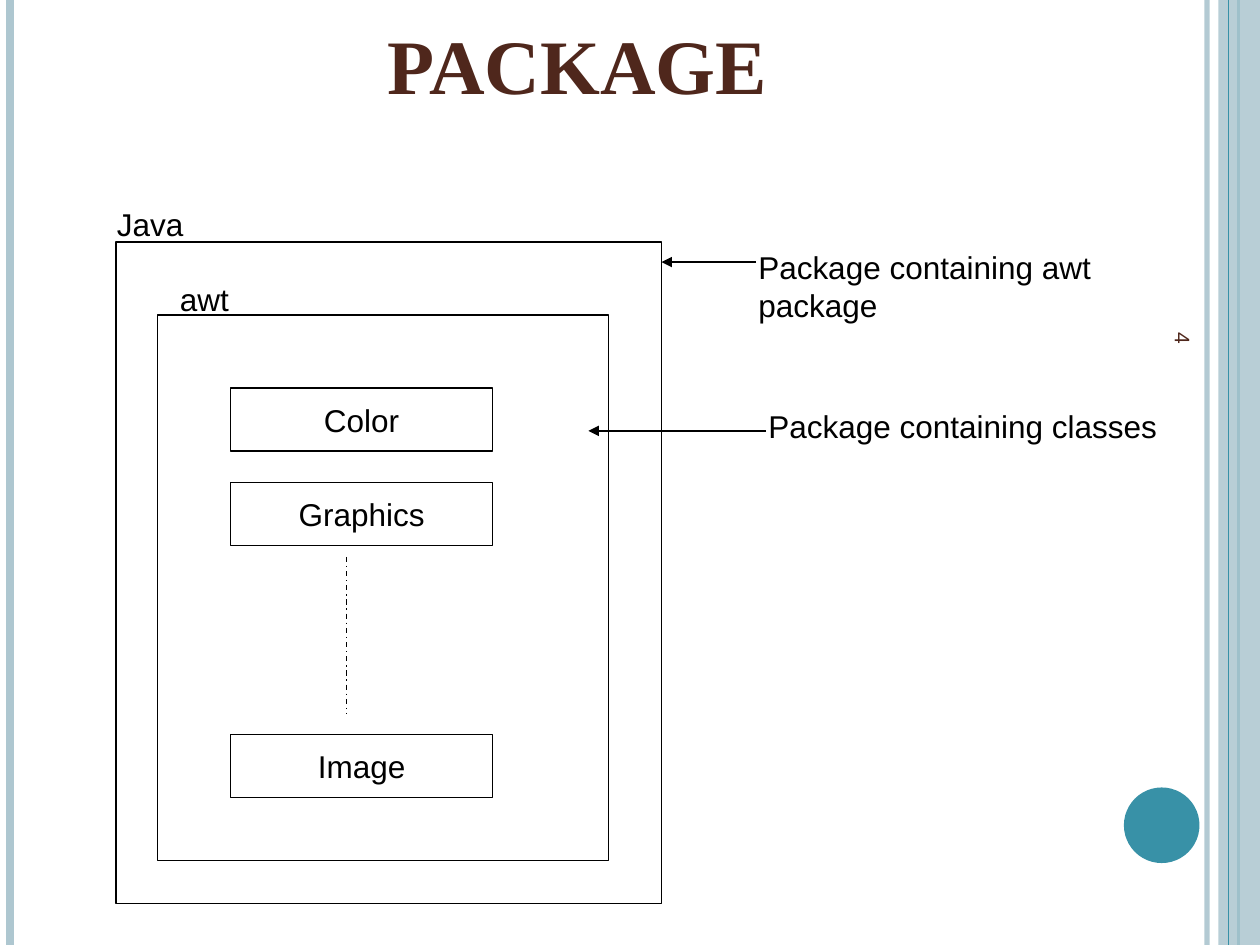
from dataclasses import dataclass

from lxml import etree
from pptx import Presentation
from pptx.dml.color import RGBColor
from pptx.enum.dml import MSO_LINE
from pptx.enum.shapes import MSO_CONNECTOR, MSO_SHAPE
from pptx.enum.text import MSO_ANCHOR, PP_ALIGN
from pptx.oxml.ns import qn
from pptx.util import Inches, Pt

RECT, OVAL = MSO_SHAPE.RECTANGLE, MSO_SHAPE.OVAL
STRAIGHT = MSO_CONNECTOR.STRAIGHT
DASH_DOT = MSO_LINE.DASH_DOT
TOP, MIDDLE, BOTTOM = MSO_ANCHOR.TOP, MSO_ANCHOR.MIDDLE, MSO_ANCHOR.BOTTOM
LEFT, CENTER = PP_ALIGN.LEFT, PP_ALIGN.CENTER


@dataclass(frozen=True)
class Theme:
    ink: str = "000000"
    paper: str = "FFFFFF"
    brown: str = "4F271C"
    teal: str = "3891A7"
    pale: str = "AEC7D0"
    sans: str = "Arial"
    serif: str = "Times New Roman"
    title: int = 44
    body: int = 18
    small: int = 12
    thin: float = 0.75


THEME = Theme()


def paint(color_format, color, alpha=None):
    """Set a solid fill's colour and, if given, its opacity in percent."""
    color_format.solid()
    color_format.fore_color.rgb = RGBColor.from_string(color)
    if alpha:
        node = color_format.fore_color._xFill.find(qn("a:srgbClr"))
        etree.SubElement(node, qn("a:alpha")).set("val", str(alpha * 1000))


def set_text(shape, text, size=THEME.body, color=THEME.ink, font=THEME.sans,
             bold=False, align=LEFT, anchor=TOP, wrap=True):
    frame = shape.text_frame
    frame.text = text
    frame.word_wrap = wrap
    frame.vertical_anchor = anchor
    para = frame.paragraphs[0]
    para.alignment = align
    style = para.runs[0].font
    style.size, style.name, style.bold = Pt(size), font, bold
    style.color.rgb = RGBColor.from_string(color)


def add_label(slide, text, left, top, width, height, turn=0, **look):
    box = slide.shapes.add_textbox(*map(Inches, (left, top, width, height)))
    box.rotation = turn
    set_text(box, text, **look)


def add_block(slide, left, top, width, height, kind=RECT,
              fill=THEME.paper, alpha=None, edge=None):
    block = slide.shapes.add_shape(
        kind, *map(Inches, (left, top, width, height)))
    block.shadow.inherit = False
    paint(block.fill, fill, alpha)
    if edge:
        paint(block.line.fill, edge)
        block.line.width = Pt(THEME.thin)
    else:
        block.line.fill.background()
    return block


def add_line(slide, start, end, color=THEME.ink, width=THEME.thin,
             alpha=None, dash=None, arrow=False):
    line = slide.shapes.add_connector(
        STRAIGHT, *map(Inches, (*start, *end)))
    paint(line.line.fill, color, alpha)
    line.line.width = Pt(width)
    if dash:
        line.line.dash_style = dash
    if arrow:
        edge = line.line._get_or_add_ln()
        etree.SubElement(edge, qn("a:tailEnd")).set("type", "triangle")
    etree.SubElement(line._element.spPr, qn("a:effectLst"))


def add_stripe(slide, x, color, width, alpha=None):
    """Draw a line down the full height of the slide."""
    add_line(slide, (x, 0), (x, 7.5), color, width, alpha)


def add_frame(slide):
    add_stripe(slide, 9.58, THEME.pale, 3, 93)
    add_stripe(slide, 0.08, THEME.pale, 4.5)
    add_stripe(slide, 9.83, THEME.teal, 1.5)
    add_block(slide, 9.67, 0, 0.33, 7.5, fill=THEME.pale, alpha=87)
    add_stripe(slide, 9.75, THEME.teal, THEME.thin)
    add_block(slide, 8.92, 6.25, 0.6, 0.6, OVAL, THEME.teal)


def add_nest(slide):
    """Draw the packages, one inside the other, and their classes."""
    add_block(slide, 0.92, 1.92, 4.33, 5.25, edge=THEME.ink)
    add_block(slide, 1.25, 2.5, 3.58, 4.33, edge=THEME.ink)
    for name, top in (("Color", 3.08), ("Graphics", 3.83), ("Image", 5.83)):
        block = add_block(slide, 1.83, top, 2.08, 0.5, edge=THEME.ink)
        set_text(block, name, align=CENTER, anchor=MIDDLE, wrap=False)
    add_line(slide, (2.75, 4.42), (2.75, 5.67), dash=DASH_DOT)
    add_label(slide, "Java", 0.83, 1.58, 2, 0.4)
    add_label(slide, "awt", 1.33, 2.17, 2.25, 0.4)


def add_notes(slide):
    """Add the remarks on the right, with arrows to the packages."""
    add_label(slide, "Package containing awt package", 5.92, 1.92, 3.5, 0.7)
    add_label(slide, "Package containing classes", 6, 3.18, 3.5, 0.4)
    add_line(slide, (6, 2.08), (5.25, 2.08), arrow=True)
    add_line(slide, (6.08, 3.42), (4.67, 3.42), arrow=True)


def main():
    deck = Presentation()
    deck.slide_width, deck.slide_height = Inches(10), Inches(7.5)
    slide = deck.slides.add_slide(deck.slide_layouts[6])
    paint(slide.background.fill, THEME.paper)
    add_frame(slide)
    add_label(slide, "4", 7.64, 4.09, 3.5, 0.4, turn=90,
              size=THEME.small, color=THEME.brown, anchor=MIDDLE)
    add_label(slide, "PACKAGE", 0.5, 0.3, 8.17, 0.62, size=THEME.title,
              color=THEME.brown, font=THEME.serif, bold=True,
              align=CENTER, anchor=BOTTOM)
    add_nest(slide)
    add_notes(slide)
    deck.save("out.pptx")


if __name__ == "__main__":
    main()
